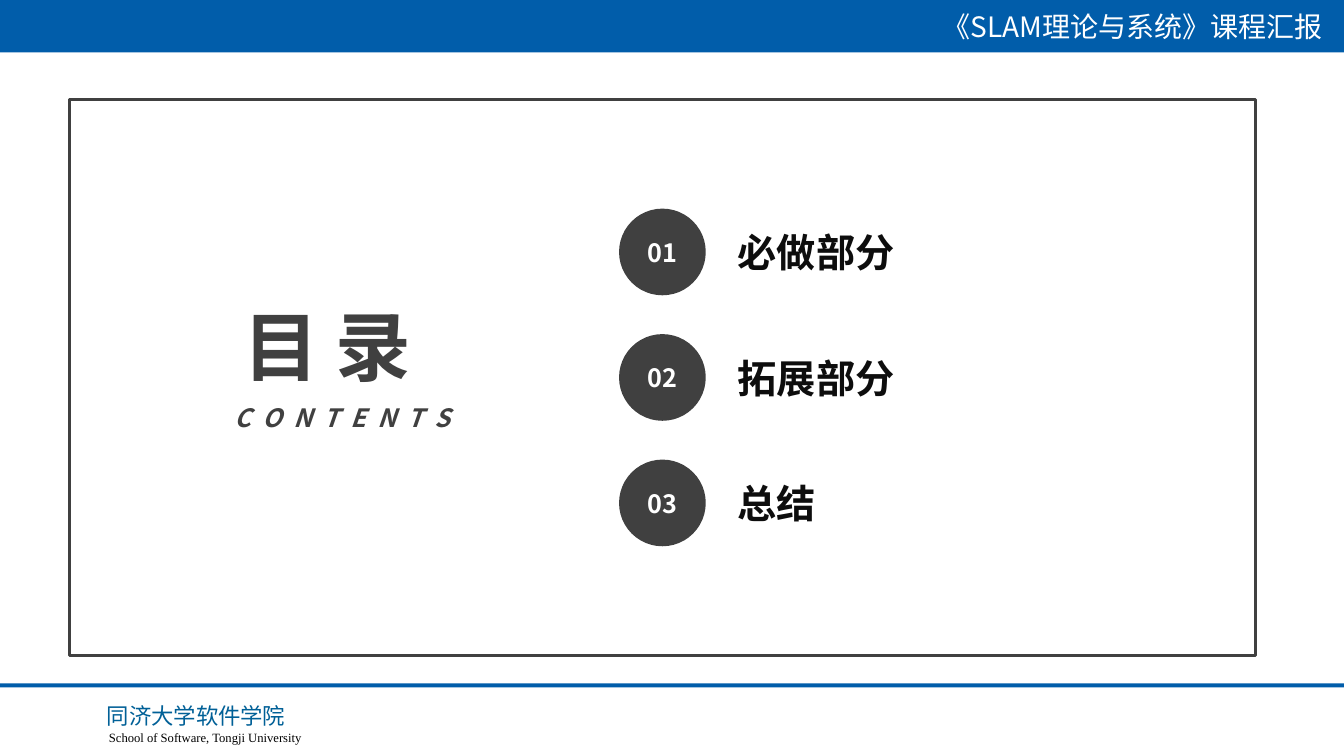
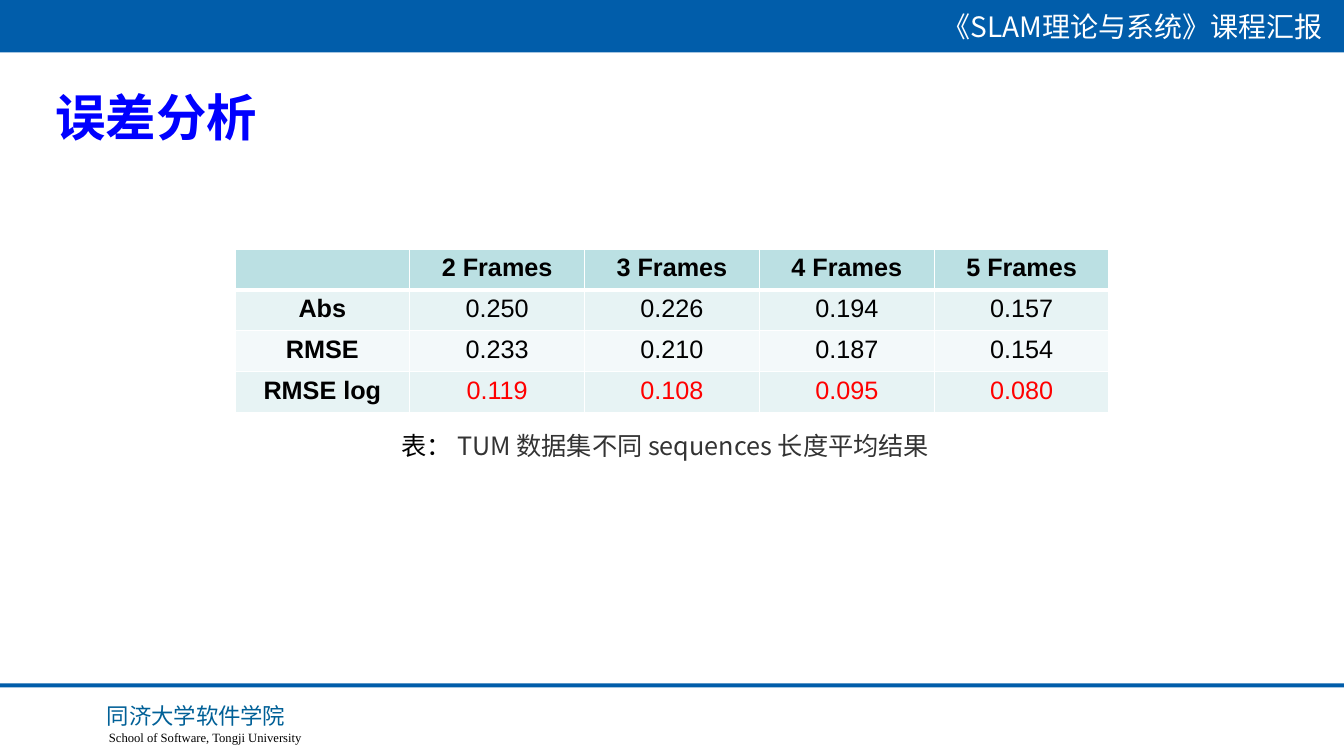
"""Build the contents slide and the error analysis slide of a SLAM course report."""
import pptx
import pptx.util
import pptx.dml.color
import pptx.enum.shapes
import pptx.enum.text
import pptx.oxml
import pptx.oxml.ns
import lxml.etree

Inches = pptx.util.Inches
Pt = pptx.util.Pt
SHAPES = pptx.enum.shapes.MSO_SHAPE
ALIGN = pptx.enum.text.PP_ALIGN
ANCHOR = pptx.enum.text.MSO_ANCHOR
qn = pptx.oxml.ns.qn

CJK = "Noto Sans CJK SC"
BAND_BLUE, CHARCOAL, WHITE, BLACK = "015DAA", "404040", "FFFFFF", "000000"


def rgb(code):
    return pptx.dml.color.RGBColor.from_string(code)


def write(frame, text, size=18, color=BLACK, font=CJK, bold=False, italic=False,
          align=ALIGN.LEFT, anchor=ANCHOR.TOP, spacing=0):
    """Append a formatted run to the first paragraph of a text frame."""
    frame.word_wrap = True
    frame.vertical_anchor = anchor
    paragraph = frame.paragraphs[0]
    paragraph.alignment = align
    run = paragraph.add_run()
    run.text = text
    run.font.size = Pt(size)
    run.font.bold = bold
    run.font.italic = italic
    run.font.color.rgb = rgb(color)
    run.font.name = font
    properties = run.font._element
    lxml.etree.SubElement(properties, qn("a:ea")).set("typeface", font)
    if spacing:
        properties.set("spc", str(spacing * 100))


deck = pptx.Presentation()
deck.slide_width = Inches(13.33)
deck.slide_height = Inches(7.5)
layout = deck.slide_layouts[6]
for placeholder in list(layout.placeholders):
    layout.shapes._element.remove(placeholder._element)

contents = deck.slides.add_slide(layout)

for top, height in [(0, 0.52), (6.78, 0.04)]:
    band = contents.shapes.add_shape(SHAPES.RECTANGLE, 0, Inches(top), deck.slide_width, Inches(height))
    band.shadow.inherit = False
    band.fill.solid()
    band.fill.fore_color.rgb = rgb(BAND_BLUE)
    band.line.fill.background()

for label, left, top, width, height, style in [
    ("同济大学软件学院", -0.15, 6.92, 4.19, 0.36, dict(size=16, color="006097")),
    ("School of Software, Tongji University", 0.63, 7.19, 2.81, 0.25,
     dict(size=9, font="Times New Roman")),
    ("《SLAM理论与系统》课程汇报", 9.03, 0.05, 4.41, 0.43, dict(size=20, color=WHITE)),
]:
    banner = contents.shapes.add_textbox(Inches(left), Inches(top), Inches(width), Inches(height))
    write(banner.text_frame, label, align=ALIGN.CENTER, **style)

for shared in list(contents.shapes):
    layout.shapes._element.append(shared._element)

border = contents.shapes.add_shape(
    SHAPES.RECTANGLE, Inches(0.69), Inches(0.99), Inches(11.76), Inches(5.51))
border.shadow.inherit = False
border.fill.background()
border.line.color.rgb = rgb(CHARCOAL)
border.line.width = Pt(2)

heading = contents.shapes.add_textbox(Inches(2.07), Inches(2.93), Inches(2.35), Inches(1))
write(heading.text_frame, "目 录", size=54, color=CHARCOAL, bold=True, align=ALIGN.CENTER)
subheading = contents.shapes.add_textbox(Inches(1.55), Inches(3.94), Inches(3.7), Inches(0.4))
write(subheading.text_frame, "C O N T E N T S", color=CHARCOAL, bold=True, italic=True,
      align=ALIGN.CENTER, spacing=2)

for index, section in enumerate(["必做部分", "拓展部分", "总结"]):
    top = 2.07 + index * 1.245
    number = contents.shapes.add_shape(
        SHAPES.OVAL, Inches(6.14), Inches(top), Inches(0.86), Inches(0.86))
    number.shadow.inherit = False
    number.fill.solid()
    number.fill.fore_color.rgb = rgb(CHARCOAL)
    number.line.fill.background()
    write(number.text_frame, f"{index + 1:02d}", color=WHITE, bold=True,
          align=ALIGN.CENTER, anchor=ANCHOR.MIDDLE)
    entry = contents.shapes.add_textbox(Inches(7.22), Inches(top + 0.15), Inches(4.16), Inches(0.57))
    write(entry.text_frame, section, size=28, color="0D0D0D", bold=True)

analysis = deck.slides.add_slide(layout)
title = analysis.shapes.add_textbox(Inches(0.45), Inches(0.76), Inches(6.3), Inches(0.79))
write(title.text_frame, "误差分析", size=36, color="0000FF", bold=True, anchor=ANCHOR.MIDDLE)

caption = analysis.shapes.add_textbox(Inches(3.88), Inches(4.22), Inches(5.63), Inches(0.4))
write(caption.text_frame, "表：")
write(caption.text_frame, " TUM 数据集不同 sequences 长度平均结果", color="333333")

errors = [
    ["", "2 Frames", "3 Frames", "4 Frames", "5 Frames"],
    ["Abs", "0.250", "0.226", "0.194", "0.157"],
    ["RMSE", "0.233", "0.210", "0.187", "0.154"],
    ["RMSE log", "0.119", "0.108", "0.095", "0.080"],
]
row_fills = ["BBE0E3", "E7F3F4", "F3F9FA", "E7F3F4"]
error_table = analysis.shapes.add_table(
    len(errors), len(errors[0]), Inches(2.33), Inches(2.47), Inches(8.67), Inches(1.62)).table
for row, values in enumerate(errors):
    for column, value in enumerate(values):
        cell = error_table.cell(row, column)
        cell_properties = cell._tc.get_or_add_tcPr()
        for side in "LRTB":
            thick = (row, side) in [(0, "B"), (1, "T")]
            edge = lxml.etree.SubElement(cell_properties, qn(f"a:ln{side}"), w=str(Pt(3 if thick else 1)))
            edge_fill = lxml.etree.SubElement(edge, qn("a:solidFill"))
            lxml.etree.SubElement(edge_fill, qn("a:srgbClr"), val=WHITE)
        cell.fill.solid()
        cell.fill.fore_color.rgb = rgb(row_fills[row])
        if value:
            highlighted = row == len(errors) - 1 and column > 0
            write(cell.text_frame, value, font="Arial", color="FF0000" if highlighted else BLACK,
                  bold=row == 0 or column == 0, align=ALIGN.CENTER)

deck.save("out.pptx")
